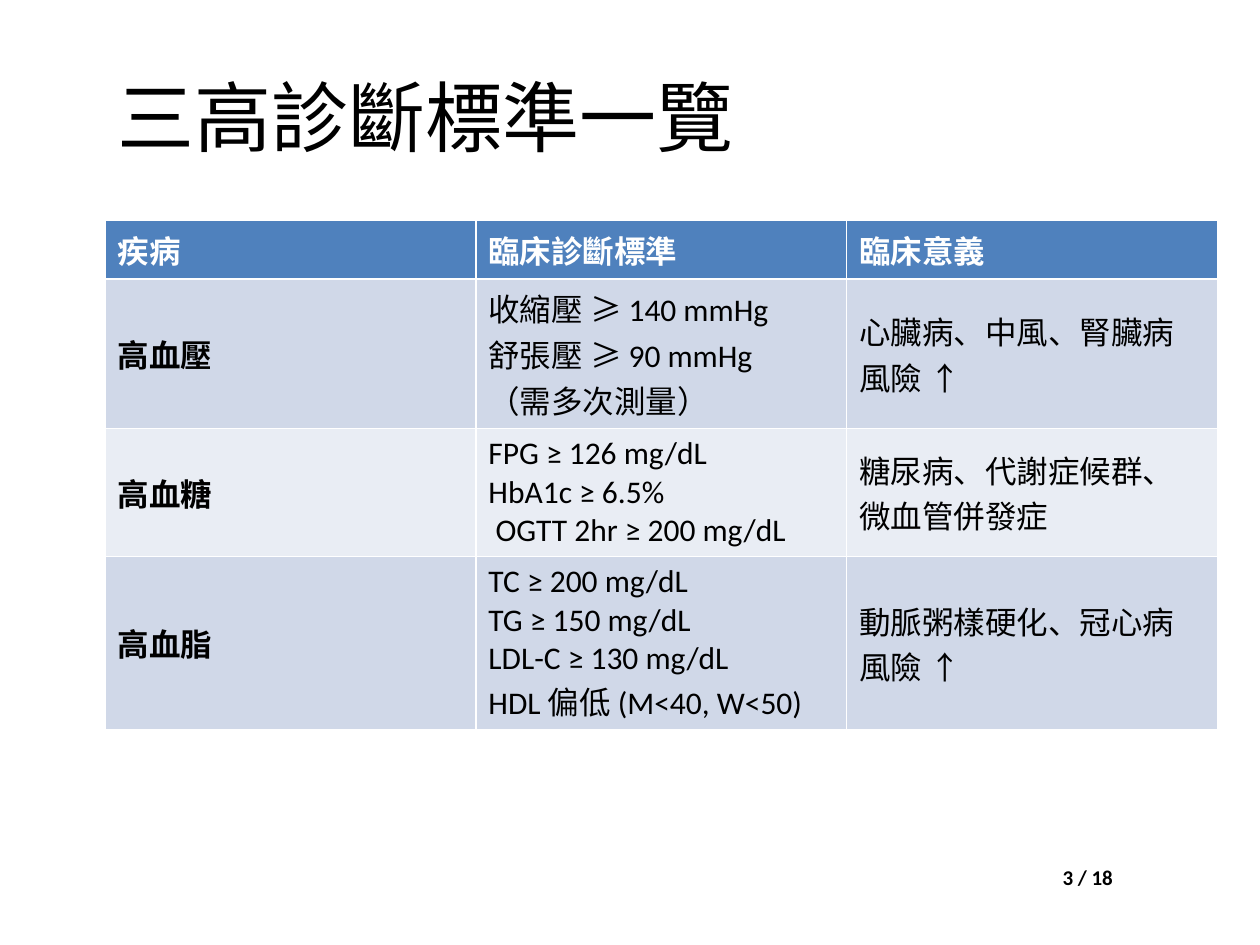
from dataclasses import dataclass

from pptx import Presentation
from pptx.dml.color import RGBColor
from pptx.enum.text import MSO_ANCHOR, MSO_AUTO_SIZE, PP_ALIGN
from pptx.util import Cm, Pt


@dataclass(frozen=True)
class Theme:
    font: str = "Calibri"
    title_size: int = 44
    table_size: int = 18
    page_size: int = 12
    text: str = "000000"
    header_text: str = "FFFFFF"
    header_fill: str = "4F81BD"
    band_fills: tuple = ("D0D8E8", "E9EDF4")


@dataclass(frozen=True)
class Box:
    left: float
    top: float
    width: float
    height: float

    def lengths(self):
        return Cm(self.left), Cm(self.top), Cm(self.width), Cm(self.height)


THEME = Theme()

CRITERIA = [
    (["疾病"], ["臨床診斷標準"], ["臨床意義"]),
    (
        ["高血壓"],
        ["收縮壓 ≥ 140 mmHg", "舒張壓 ≥ 90 mmHg", "（需多次測量）"],
        ["心臟病、中風、腎臟病風險 ↑"],
    ),
    (
        ["高血糖"],
        ["FPG ≥ 126 mg/dL", "HbA1c ≥ 6.5%", " OGTT 2hr ≥ 200 mg/dL"],
        ["糖尿病、代謝症候群、微血管併發症"],
    ),
    (
        ["高血脂"],
        [
            "TC ≥ 200 mg/dL",
            "TG ≥ 150 mg/dL",
            "LDL-C ≥ 130 mg/dL",
            "HDL 偏低 (M<40, W<50)",
        ],
        ["動脈粥樣硬化、冠心病風險 ↑"],
    ),
]


def write_lines(text_frame, lines, size, color=THEME.text, bold=False):
    for index, line in enumerate(lines):
        paragraph = text_frame.add_paragraph() if index else text_frame.paragraphs[0]
        paragraph.alignment = PP_ALIGN.LEFT
        run = paragraph.add_run()
        run.text = line
        run.font.name = THEME.font
        run.font.size = Pt(size)
        run.font.bold = bold
        run.font.color.rgb = RGBColor.from_string(color)


def place_title(slide, box, text):
    title = slide.shapes.title
    title.left, title.top, title.width, title.height = box.lengths()
    title.text_frame.vertical_anchor = MSO_ANCHOR.MIDDLE
    write_lines(title.text_frame, [text], THEME.title_size)


def place_criteria_table(slide, box, rows):
    column_count = len(rows[0])
    table = slide.shapes.add_table(len(rows), column_count, *box.lengths()).table
    for column in table.columns:
        column.width = Cm(box.width / column_count)
    for row in table.rows:
        row.height = Cm(box.height / len(rows))
    for row_index, row_lines in enumerate(rows):
        is_header = row_index == 0
        fill = THEME.header_fill if is_header else THEME.band_fills[(row_index - 1) % 2]
        color = THEME.header_text if is_header else THEME.text
        for column_index, lines in enumerate(row_lines):
            cell = table.cell(row_index, column_index)
            cell.fill.solid()
            cell.fill.fore_color.rgb = RGBColor.from_string(fill)
            cell.vertical_anchor = MSO_ANCHOR.MIDDLE
            bold = is_header or column_index == 0
            write_lines(cell.text_frame, lines, THEME.table_size, color, bold)


def place_page_number(slide, box, text):
    text_frame = slide.shapes.add_textbox(*box.lengths()).text_frame
    text_frame.word_wrap = True
    text_frame.auto_size = MSO_AUTO_SIZE.SHAPE_TO_FIT_TEXT
    write_lines(text_frame, [text], THEME.page_size, bold=True)


def main():
    presentation = Presentation()
    presentation.slide_width = Cm(25.4)
    presentation.slide_height = Cm(19.05)
    slide = presentation.slides.add_slide(presentation.slide_layouts[5])
    place_title(slide, Box(2.12, 0.74, 22.42, 3.18), "三高診斷標準一覽")
    place_criteria_table(slide, Box(2.12, 4.45, 22.42, 4.16), CRITERIA)
    place_page_number(slide, Box(21.17, 17.3, 3.53, 0.77), "3 / 18")
    presentation.save("out.pptx")


if __name__ == "__main__":
    main()
